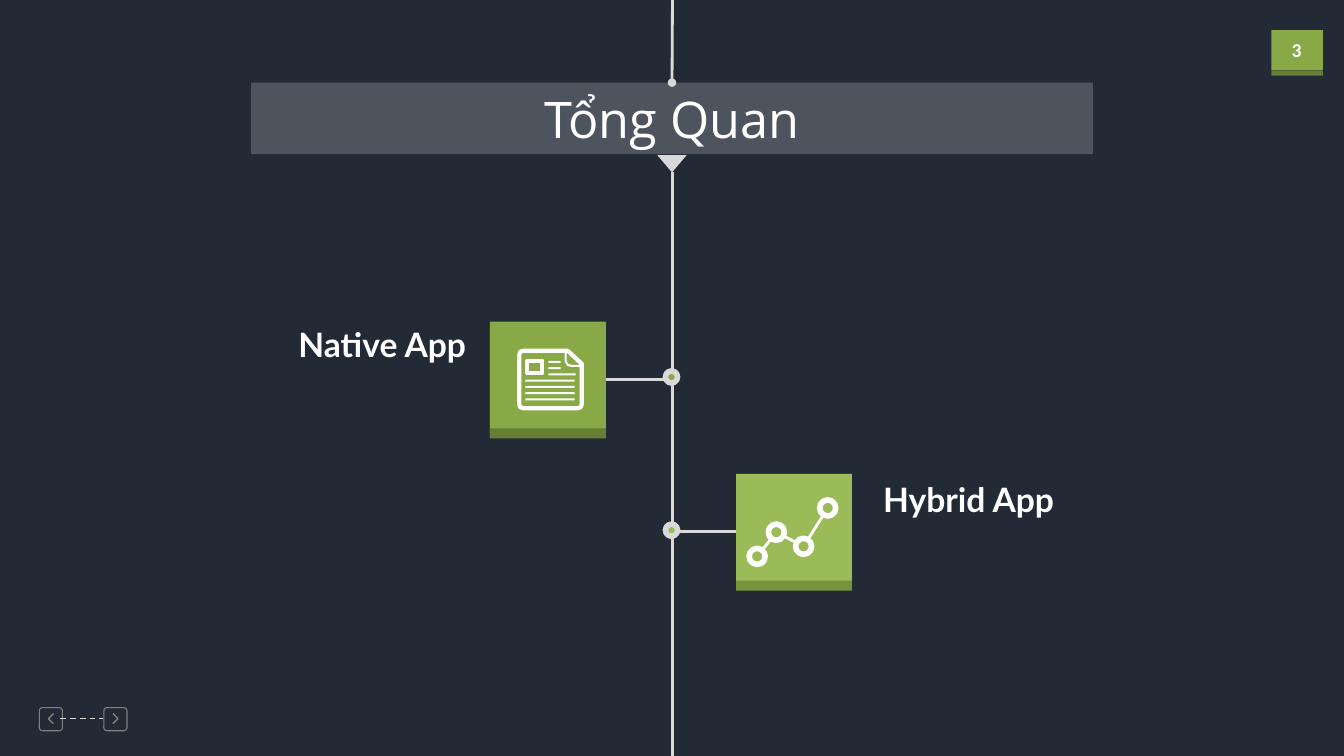
from lxml.etree import SubElement
from pptx import Presentation
from pptx.dml.color import RGBColor
from pptx.enum.dml import MSO_LINE as Dash
from pptx.enum.shapes import MSO_CONNECTOR as Wire, MSO_SHAPE as Kind
from pptx.enum.text import MSO_ANCHOR as Anchor, MSO_AUTO_SIZE as Fit, PP_ALIGN as Align
from pptx.oxml.ns import qn
from pptx.util import Inches, Pt


class Theme:
    back = "222A35"
    white = "FFFFFF"
    pale = "D9D9D9"
    gray = "808080"
    green = "88A945"
    moss = "667F34"
    lime = "9BBB59"
    olive = "77933C"
    title = 36
    label = 24
    number = 14


def block(kind, x, y, w, h, fill=None, line=None, weight=1):
    """Add a preset shape; without a fill or line colour that part stays empty."""
    shape = shapes.add_shape(kind, Inches(x), Inches(y), Inches(w), Inches(h))
    shape.shadow.inherit = False
    if fill:
        shape.fill.solid()
        shape.fill.fore_color.rgb = RGBColor.from_string(fill)
    else:
        shape.fill.background()
    if line:
        shape.line.color.rgb = RGBColor.from_string(line)
        shape.line.width = Pt(weight)
    else:
        shape.line.fill.background()
    return shape


def link(x1, y1, x2, y2, color=Theme.pale, weight=2):
    wire = shapes.add_connector(Wire.STRAIGHT, Inches(x1), Inches(y1), Inches(x2), Inches(y2))
    wire.line.color.rgb = RGBColor.from_string(color)
    wire.line.width = Pt(weight)
    SubElement(wire._element.spPr, qn("a:effectLst"))
    return wire


deck = Presentation()
deck.slide_width, deck.slide_height = Inches(13.33), Inches(7.5)
slide = deck.slides.add_slide(deck.slide_layouts[6])
slide.background.fill.solid()
slide.background.fill.fore_color.rgb = RGBColor.from_string(Theme.back)
shapes = slide.shapes
mid = 6.67

# Page number badge and navigation buttons
block(Kind.RECTANGLE, 12.61, 0.3, 0.51, 0.4, Theme.green)
block(Kind.RECTANGLE, 12.61, 0.7, 0.51, 0.05, Theme.moss)
for x in (0.39, 1.03):
    button = block(Kind.ROUNDED_RECTANGLE, x, 7.02, 0.23, 0.23, line=Theme.gray, weight=0.75)
    button.adjustments[0] = 0.14
link(0.6, 7.13, 1.02, 7.13, weight=1).line.dash_style = Dash.DASH

# Title bar hanging from the top
bar = block(Kind.RECTANGLE, 2.49, 0.82, 8.35, 0.71, Theme.white)
tint = bar._element.spPr.find(".//" + qn("a:srgbClr"))
SubElement(tint, qn("a:alpha"), val="20000")
cord = link(mid, 0, mid, 0.82)
cord.end_connect(bar, 0)
SubElement(cord.line._get_or_add_ln(), qn("a:tailEnd"), type="oval")
block(Kind.ISOSCELES_TRIANGLE, 6.52, 1.54, 0.29, 0.17, Theme.pale).rotation = 180

# Timeline with one tile per app type
for top, bottom in ((1.71, 3.67), (3.82, 5.18), (5.32, 7.5)):
    link(mid, top, mid, bottom)
side = 1.15
for x, y, fill, edge, dot, port in (
    (4.86, 3.19, Theme.green, Theme.moss, 3.68, 3),
    (7.3, 4.7, Theme.lime, Theme.olive, 5.2, 1),
):
    tile = block(Kind.RECTANGLE, x, y, side, side, fill)
    block(Kind.RECTANGLE, x, y + 1.06, side, 0.1, edge)
    near, far = (x + side, 6.6) if port == 3 else (x, 6.73)
    link(near, y + side / 2, far, y + side / 2).begin_connect(tile, port)
    block(Kind.OVAL, 6.6, dot, 0.12, 0.12, fill, Theme.pale, 4)

# Graph icon
nodes = [(7.51, 5.52), (7.7, 5.28), (7.97, 5.42), (8.21, 5.04)]
for start, end in zip(nodes, nodes[1:]):
    link(*start, *end, Theme.white, 2)
for x, y in nodes:
    block(Kind.OVAL, x - 0.08, y - 0.08, 0.16, 0.16, Theme.lime, Theme.white, 4)

# Newspaper icon: text rows and picture frame
for row in range(7):
    x, w = (5.44, 0.12) if row < 2 else (5.44, 0.27) if row == 2 else (5.21, 0.49)
    block(Kind.ROUNDED_RECTANGLE, x, 3.58 + 0.062 * row, w, 0.02, Theme.white)
block(Kind.RECTANGLE, 5.23, 3.58, 0.15, 0.12, line=Theme.white, weight=3)

# Open and closed outlines: chevrons, newspaper page, folded corner
page = [(5.19, 3.48), (5.63, 3.48), (5.77, 3.61), (5.77, 4.01), (5.76, 4.04), (5.73, 4.05),
        (5.19, 4.05), (5.16, 4.04), (5.15, 4.01), (5.15, 3.52), (5.16, 3.49)]
fold = [(5.61, 3.48), (5.61, 3.58), (5.63, 3.62), (5.67, 3.63), (5.77, 3.63)]
for points, color, weight, close in (
    ([(0.53, 7.08), (0.48, 7.13), (0.53, 7.18)], Theme.gray, 1, False),
    ([(1.12, 7.08), (1.17, 7.13), (1.12, 7.18)], Theme.gray, 1, False),
    (page, Theme.white, 3, True),
    (fold, Theme.white, 1.5, False),
):
    spots = [(Inches(x), Inches(y)) for x, y in points]
    pen = shapes.build_freeform(*spots[0])
    pen.add_line_segments(spots[1:], close=close)
    trace = pen.convert_to_shape()
    trace.shadow.inherit = False
    trace.fill.background()
    trace.line.color.rgb = RGBColor.from_string(color)
    trace.line.width = Pt(weight)

# Wording
for text, place, size, font, bold, align in (
    ("Tổng Quan", None, Theme.title, "Open Sans", False, Align.CENTER),
    ("3", (12.64, 0.33, 0.44, 0.34), Theme.number, "Calibri", True, Align.CENTER),
    ("Native App", (2.77, 3.16, 1.95, 0.5), Theme.label, "Lato", True, Align.RIGHT),
    ("Hybrid App", (8.66, 4.7, 2, 0.5), Theme.label, "Lato", True, Align.LEFT),
):
    box = shapes.add_textbox(*map(Inches, place)) if place else bar
    frame = box.text_frame
    frame.text = text
    frame.word_wrap = box is bar
    frame.auto_size = Fit.SHAPE_TO_FIT_TEXT
    frame.vertical_anchor = Anchor.MIDDLE if box is bar else Anchor.TOP
    para = frame.paragraphs[0]
    para.alignment = align
    face = para.runs[0].font
    face.name, face.size, face.bold = font, Pt(size), bold
    face.color.rgb = RGBColor.from_string(Theme.white)

deck.save("out.pptx")
